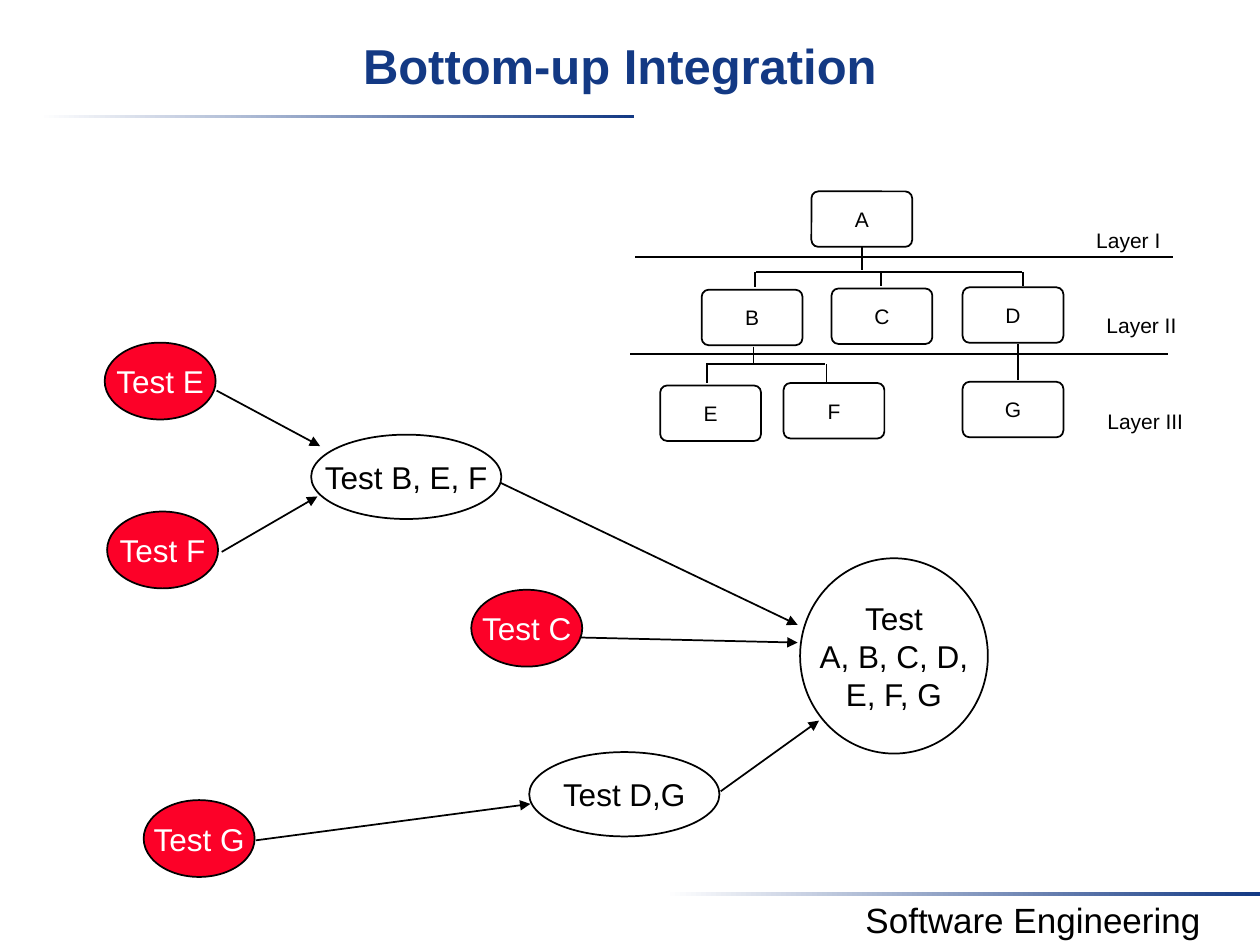
import pptx
import pptx.util
import pptx.dml.color
import pptx.enum.shapes
import pptx.enum.text
import pptx.oxml

Pt = pptx.util.Pt
SHAPE = pptx.enum.shapes.MSO_SHAPE
ANCHOR = pptx.enum.text.MSO_ANCHOR

THEME = {
    "font": "Arial",
    "ink": "000000", "paper": "FFFFFF", "navy": "133984", "red": "FC0128",
    "title": 28, "footer": 20, "step": 18, "module": 12,
    "line": 1,
}

# Content: positions are left, top (and width, height) in points
TITLE = ("Bottom-up Integration", (33.1, 15.8, 642.2, 67.7))
FOOTER = ("Software Engineering", (460.8, 509.8, 259.2, 31.7))
RULE_SIZE = (339.8, 2.2)
RULES = [(22.3, 65.5), (380.2, 509.8)]

MODULE_SIZE = (57.6, 31.7)
MODULES = {
    "A": (463.7, 109.4),
    "B": (401, 165.6), "C": (475.2, 164.9), "D": (550.1, 164.2),
    "E": (377.3, 220.3), "F": (447.8, 218.9), "G": (550.1, 218.2),
}
LAYERS = [
    ("Layer I", (618.5, 126.7, 52.6, 21.6)),
    ("Layer II", (623.5, 175, 57.6, 21.6)),
    ("Layer III", (623.5, 229.7, 61.9, 21.6)),
]
DIVIDER_LENGTH = 307.4
DIVIDERS = [(362.9, 146.9), (360, 202.3)]
BRANCHES = [  # horizontal: left, right, y
    (432, 583.9, 155.5), (403.9, 471.6, 208.1),
]
STEMS = [  # vertical: x, top, bottom
    (492.5, 141.1, 154.1),
    (431.3, 155.5, 164.2), (503.3, 155.5, 163.4), (584.6, 155.5, 163.4),
    (430.6, 198, 207.4),
    (403.9, 207.4, 218.9), (472.3, 208.1, 218.2),
    (581.8, 196.6, 217.4),
]

UNIT_SIZE = (63.4, 43.9)
UNIT_TESTS = {
    "Test F": (61.2, 292.3), "Test E": (59.8, 195.8),
    "Test G": (82.1, 457.2), "Test C": (269.3, 337),
}
CLUSTER_SIZE = (108.7, 48.2)
CLUSTER_TESTS = {"Test D,G": (302.4, 429.8), "Test B, E, F": (177.8, 248.4)}
SYSTEM_TEST = ("Test\nA, B, C, D,\nE, F, G", (457.2, 319, 107.3, 111.6))
ARROWS = [  # from x, y, to x, y
    (146.2, 480.2, 303.1, 459.4),  # G to D,G
    (123.8, 223.2, 182.9, 254.9),  # E to B, E, F
    (126.7, 315.4, 181.4, 283.7),  # F to B, E, F
    (285.8, 275.8, 455.8, 357.1),  # B, E, F to all
    (331.2, 364.3, 455.8, 367.2),  # C to all
    (411.8, 452.2, 468, 411.8),    # D,G to all
]


def color(name):
    return pptx.dml.color.RGBColor.from_string(THEME[name])


def write(shape, text, size, ink="ink", bold=False, wrap=False, anchor=ANCHOR.TOP):
    frame = shape.text_frame
    frame.text = text
    frame.word_wrap = wrap
    frame.vertical_anchor = anchor
    for paragraph in frame.paragraphs:
        paragraph.alignment = pptx.enum.text.PP_ALIGN.CENTER
        paragraph.font.name = THEME["font"]
        paragraph.font.size = Pt(THEME[size])
        paragraph.font.bold = bold
        paragraph.font.color.rgb = color(ink)
    return frame


def add_label(slide, text, box, size, **style):
    return write(slide.shapes.add_textbox(*map(Pt, box)), text, size, **style)


def add_node(slide, kind, text, box, size, fill=None, ink="ink"):
    node = slide.shapes.add_shape(kind, *map(Pt, box))
    node.shadow.inherit = False
    if fill:
        node.fill.solid()
        node.fill.fore_color.rgb = color(fill)
    else:
        node.fill.background()
    node.line.color.rgb = color("ink")
    node.line.width = Pt(THEME["line"])
    write(node, text, size, ink, anchor=ANCHOR.MIDDLE)
    return node


def add_line(slide, x1, y1, x2, y2, arrow=False):
    line = slide.shapes.add_connector(
        pptx.enum.shapes.MSO_CONNECTOR.STRAIGHT, Pt(x1), Pt(y1), Pt(x2), Pt(y2))
    line.line.color.rgb = color("ink")
    line.line.width = Pt(THEME["line"])
    if arrow:
        head = pptx.oxml.xmlchemy.OxmlElement("a:tailEnd")
        head.set("type", "triangle")
        line.line._get_or_add_ln().append(head)
    line._element.spPr.append(pptx.oxml.xmlchemy.OxmlElement("a:effectLst"))


def add_rule(slide, corner):
    rule = slide.shapes.add_shape(SHAPE.RECTANGLE, *map(Pt, corner + RULE_SIZE))
    rule.shadow.inherit = False
    rule.line.fill.background()
    rule.fill.gradient()
    rule.fill.gradient_angle = 0
    for stop, name in zip(rule.fill.gradient_stops, ("paper", "navy")):
        stop.color.rgb = color(name)


def main():
    deck = pptx.Presentation()
    deck.slide_width, deck.slide_height = Pt(720), Pt(540)
    slide = deck.slides.add_slide(deck.slide_layouts[6])

    # Rules, footer and title
    for corner in RULES:
        add_rule(slide, corner)
    add_label(slide, *FOOTER, "footer", wrap=True)
    title = add_label(slide, *TITLE, "title", ink="navy", bold=True, wrap=True)
    title.margin_top = Pt(4.3)

    # Module hierarchy
    for name, corner in MODULES.items():
        module = add_node(slide, SHAPE.ROUNDED_RECTANGLE, name,
                          corner + MODULE_SIZE, "module")
        module.adjustments[0] = 0.125
    for x, top, bottom in STEMS:
        add_line(slide, x, top, x, bottom)
    for left, right, y in BRANCHES:
        add_line(slide, left, y, right, y)
    for left, y in DIVIDERS:
        add_line(slide, left, y, left + DIVIDER_LENGTH, y)
    for text, box in LAYERS:
        add_label(slide, text, box, "module")

    # Test steps, then the order they feed each other
    for text, corner in UNIT_TESTS.items():
        add_node(slide, SHAPE.OVAL, text, corner + UNIT_SIZE, "step", "red", "paper")
    for text, corner in CLUSTER_TESTS.items():
        add_node(slide, SHAPE.OVAL, text, corner + CLUSTER_SIZE, "step")
    add_node(slide, SHAPE.OVAL, *SYSTEM_TEST, "step")
    for ends in ARROWS:
        add_line(slide, *ends, arrow=True)

    deck.save("out.pptx")


if __name__ == "__main__":
    main()
